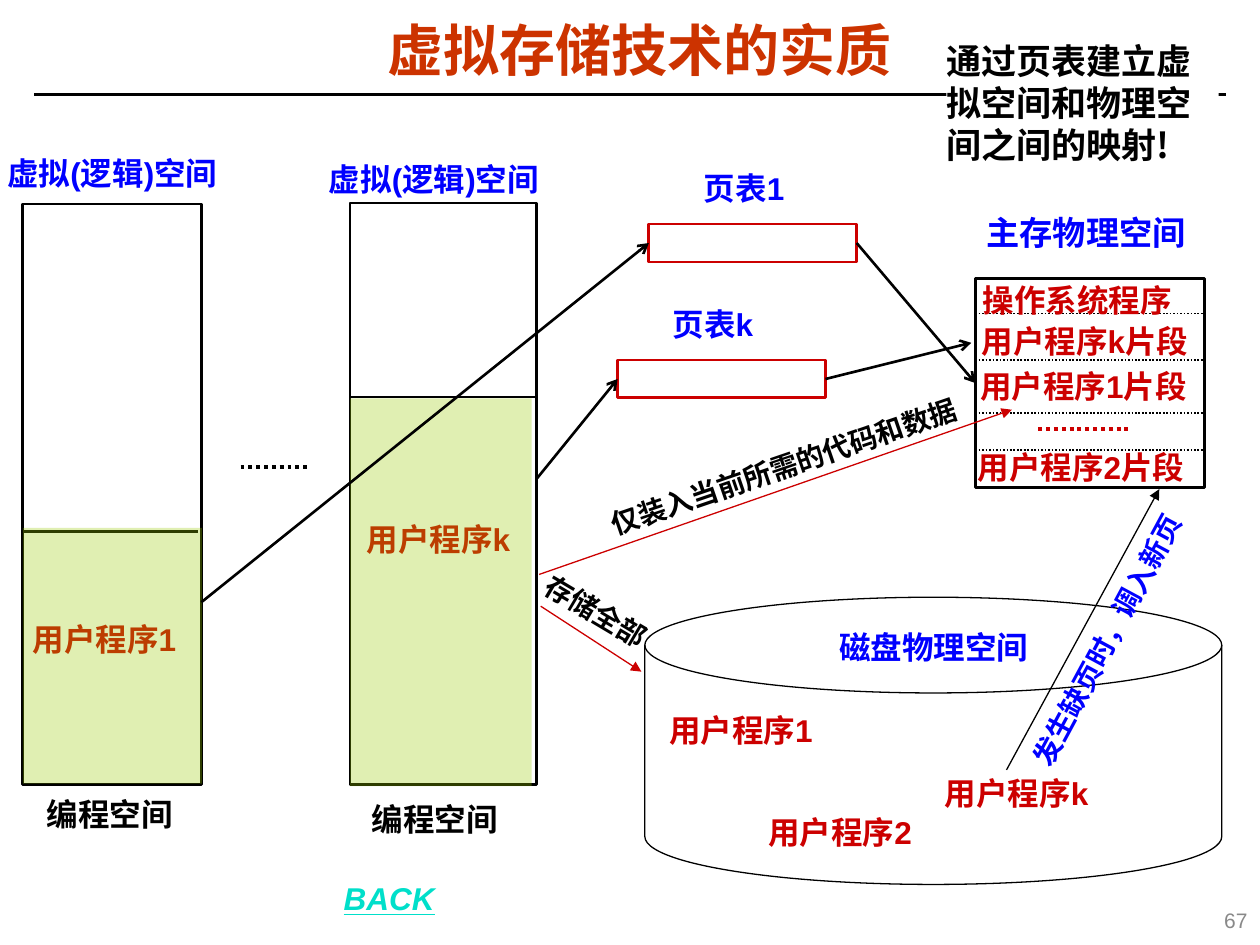
from dataclasses import dataclass

from lxml.etree import SubElement
from pptx import Presentation
from pptx.dml.color import RGBColor as Rgb
from pptx.enum.dml import MSO_LINE_DASH_STYLE as Dash
from pptx.enum.shapes import MSO_CONNECTOR_TYPE as Connector, MSO_SHAPE as Shape
from pptx.enum.text import MSO_ANCHOR as Anchor, MSO_AUTO_SIZE as AutoSize, PP_ALIGN as Align
from pptx.oxml.ns import qn
from pptx.util import Cm, Pt


@dataclass(frozen=True)
class Theme:
    """Colours, fonts, type sizes and line widths of the slide."""
    black: str = "000000"
    white: str = "FFFFFF"
    title: str = "CC3300"
    red: str = "CC0000"
    blue: str = "0000FF"
    green: str = "99CC00"
    link: str = "00DFCA"
    grey: str = "898989"
    font: str = "Arial"
    asian_font: str = "Noto Sans CJK SC"
    title_size: int = 32
    note_size: int = 20
    heading_size: int = 19
    body_size: int = 18
    arrow_label_size: int = 16
    number_size: int = 12
    thin: float = 0.75
    dotted: float = 1
    medium: float = 1.5
    thick: float = 2.25


def apply(target, values):
    """Set every attribute named in values on target."""
    for name, value in values.items():
        setattr(target, name, value)


class SlideBuilder:
    """Hold the theme and current slide, and draw its elements."""

    def __init__(self, slide, theme):
        """Remember where to draw and in which style."""
        self.slide, self.theme = slide, theme

    def fill_text(self, shape, text, color, size, font=None, align=Align.LEFT, **style):
        """Put one formatted paragraph into a shape."""
        paragraph = shape.text_frame.paragraphs[0]
        paragraph.alignment = align
        run = paragraph.add_run()
        run.text = text
        values = {"name": font or self.theme.font, "size": Pt(size), "bold": True}
        apply(run.font, values | style)
        run.font.color.rgb = Rgb.from_string(color)
        asian = SubElement(run._r.get_or_add_rPr(), qn("a:ea"))
        asian.set("typeface", self.theme.asian_font)
        return paragraph

    def title(self, text, left, top, width, height):
        """Place and format the title placeholder."""
        title = self.slide.shapes.title
        apply(title, {"left": Cm(left), "top": Cm(top), "width": Cm(width), "height": Cm(height)})
        apply(title.text_frame, {"vertical_anchor": Anchor.MIDDLE, "word_wrap": True})
        paragraph = self.fill_text(title, text, self.theme.title, self.theme.title_size,
                                   align=Align.CENTER)
        paragraph.line_spacing = 0.87

    def text(self, text, left, top, width, color, size=None, height=0.76, rotation=0,
             fill=None, **style):
        """Add a wrapping text box without insets."""
        box = self.slide.shapes.add_textbox(Cm(left), Cm(top), Cm(width), Cm(height))
        box.rotation = rotation
        insets = dict.fromkeys(("margin_left", "margin_top", "margin_right", "margin_bottom"), 0)
        apply(box.text_frame, insets | {"word_wrap": True, "auto_size": AutoSize.SHAPE_TO_FIT_TEXT})
        if fill:
            box.fill.solid()
            box.fill.fore_color.rgb = Rgb.from_string(fill)
        self.fill_text(box, text, color, size or self.theme.body_size, **style)

    def shape(self, left, top, width, height, kind=Shape.RECTANGLE, fill=None,
              line=None, weight=None, opacity=None):
        """Add a filled preset shape, optionally outlined or translucent."""
        shape = self.slide.shapes.add_shape(kind, Cm(left), Cm(top), Cm(width), Cm(height))
        shape.shadow.inherit = False
        shape.fill.solid()
        shape.fill.fore_color.rgb = Rgb.from_string(fill or self.theme.white)
        if opacity:
            color = shape._element.spPr.find(qn("a:solidFill"))[0]
            SubElement(color, qn("a:alpha")).set("val", str(opacity * 1000))
        if line:
            shape.line.color.rgb = Rgb.from_string(line)
            shape.line.width = Pt(weight or self.theme.medium)
        else:
            shape.line.fill.background()

    def line(self, start, end, color=None, weight=None, dash=None, head=None):
        """Add a straight line, optionally dotted or with an arrowhead."""
        line = self.slide.shapes.add_connector(Connector.STRAIGHT, *map(Cm, start + end))
        line.line.color.rgb = Rgb.from_string(color or self.theme.black)
        line.line.width = Pt(weight or self.theme.medium)
        if dash:
            line.line.dash_style = dash
        if head:
            SubElement(line._element.spPr.find(qn("a:ln")), qn("a:tailEnd")).set("type", head)
        SubElement(line._element.spPr, qn("a:effectLst"))


def draw_virtual_spaces(builder):
    """Draw both virtual spaces with their programs."""
    theme = builder.theme
    spaces = [
        ((0.46, 4.11, 3.61, 11.71), (0.94, 16.03), (0.15, 3.1), (0.43, 3.99, 10.72),
         "用户程序1", (0.66, 12.5), (0.46, 10.64, 3.61, 5.16)),
        ((7.06, 4.09, 3.76, 11.73), (7.49, 16.13), (6.63, 3.23), (7.06, 10.8, 8),
         "用户程序k", (7.39, 10.49), (7.06, 8.03, 3.66, 7.82)),
    ]
    for frame, caption, heading, (left, right, level), program, label, area in spaces:
        builder.shape(*frame, line=theme.black)
        builder.text("编程空间", *caption, 2.97, theme.black)
        builder.text("虚拟(逻辑)空间", *heading, 4.85, theme.blue)
        builder.line((left, level), (right, level))
        builder.text(program, *label, 2.97, theme.red)
        builder.shape(*area, fill=theme.green, opacity=30)
    builder.line((4.85, 9.42), (6.2, 9.42), weight=theme.thick, dash=Dash.ROUND_DOT)


def draw_disk(builder):
    """Draw the disk and the programs stored on it."""
    theme = builder.theme
    builder.shape(13, 12.04, 11.63, 5.79, Shape.FLOWCHART_MAGNETIC_DISK,
                  line=theme.black, weight=theme.thin)
    builder.text("磁盘物理空间", 16.92, 12.67, 3.94, theme.blue)
    for name, left, top in (("1", 13.49, 14.33), ("k", 19.05, 15.6), ("2", 15.49, 16.38)):
        builder.text("用户程序" + name, left, top, 2.97, theme.red)


def draw_memory(builder):
    """Draw main memory and its segments."""
    theme = builder.theme
    builder.text("主存物理空间", 19.89, 4.29, 5.51, theme.blue, theme.heading_size)
    builder.shape(19.66, 5.61, 4.62, 4.22, line=theme.black)
    for level in (6.32, 7.26, 8.33, 9.07):
        builder.line((19.66, level), (24.26, level), weight=theme.dotted, dash=Dash.ROUND_DOT)
    segments = (("操作系统程序", 19.81, 5.66), ("用户程序k片段", 19.79, 6.5),
                ("用户程序1片段", 19.76, 7.39), ("用户程序2片段", 19.71, 9.04))
    for text, left, top in segments:
        builder.text(text, left, top, 4.6, theme.red)
    builder.line((20.93, 8.64), (22.78, 8.64), theme.red, theme.thick, Dash.ROUND_DOT)


def draw_transfers(builder):
    """Draw the labelled arrows between program, memory and disk."""
    theme = builder.theme
    transfers = (
        ("仅装入当前所需的代码和数据", (12.14, 9.04, 7.44), 341.1, theme.black,
         (10.87, 11.58), (20.4, 8.26), theme.red),
        ("存储全部", (10.87, 12.04, 2.49), 30.7, theme.black,
         (10.9, 12.22), (12.93, 13.54), theme.red),
        ("发生缺页时，调入新页", (19.02, 11.76, 7.44), 298.2, theme.blue,
         (20.29, 15.52), (23.37, 9.86), theme.black),
    )
    for text, place, rotation, color, start, end, line_color in transfers:
        builder.line(start, end, line_color, theme.thin, head="triangle")
        builder.text(text, *place, color, theme.arrow_label_size, height=0.69, rotation=rotation)


def draw_page_tables(builder):
    """Draw each page table with its arrows in and out."""
    theme = builder.theme
    width, height = 4.19, 0.76
    tables = (("页表1", 13.08, 4.52, (4.06, 12.14), (19.66, 7.72)),
              ("页表k", 12.45, 7.26, (10.82, 9.65), (19.58, 6.91)))
    for name, left, top, source, target in tables:
        middle = top + height / 2
        builder.text(name, left + 0.37, top - 1.12, 3.1, theme.blue, align=Align.CENTER)
        builder.shape(left, top, width, height, line=theme.red)
        builder.line((left + width, middle), target, head="arrow")
        builder.line(source, (left, middle), head="arrow")


def main():
    """Build and save the presentation."""
    presentation = Presentation()
    apply(presentation, {"slide_width": Cm(25.4), "slide_height": Cm(19.05)})
    theme = Theme()
    builder = SlideBuilder(presentation.slides.add_slide(presentation.slide_layouts[5]), theme)
    builder.line((0.69, 1.91), (24.71, 1.91))
    builder.title("虚拟存储技术的实质", 0.66, 0.36, 24.46, 1.47)
    builder.text("通过页表建立虚拟空间和物理空间之间的映射!", 19.08, 0.79, 5.49, theme.black,
                 theme.note_size, height=2.54, fill=theme.white, font=theme.asian_font)
    for draw in (draw_virtual_spaces, draw_disk, draw_memory, draw_transfers, draw_page_tables):
        draw(builder)
    builder.text("BACK", 6.93, 17.73, 5.23, theme.link, italic=True, underline=True)
    builder.text("67", 19.69, 18.29, 5.46, theme.grey, theme.number_size, height=0.5,
                 align=Align.RIGHT, bold=False)
    presentation.save("out.pptx")


if __name__ == "__main__":
    main()
